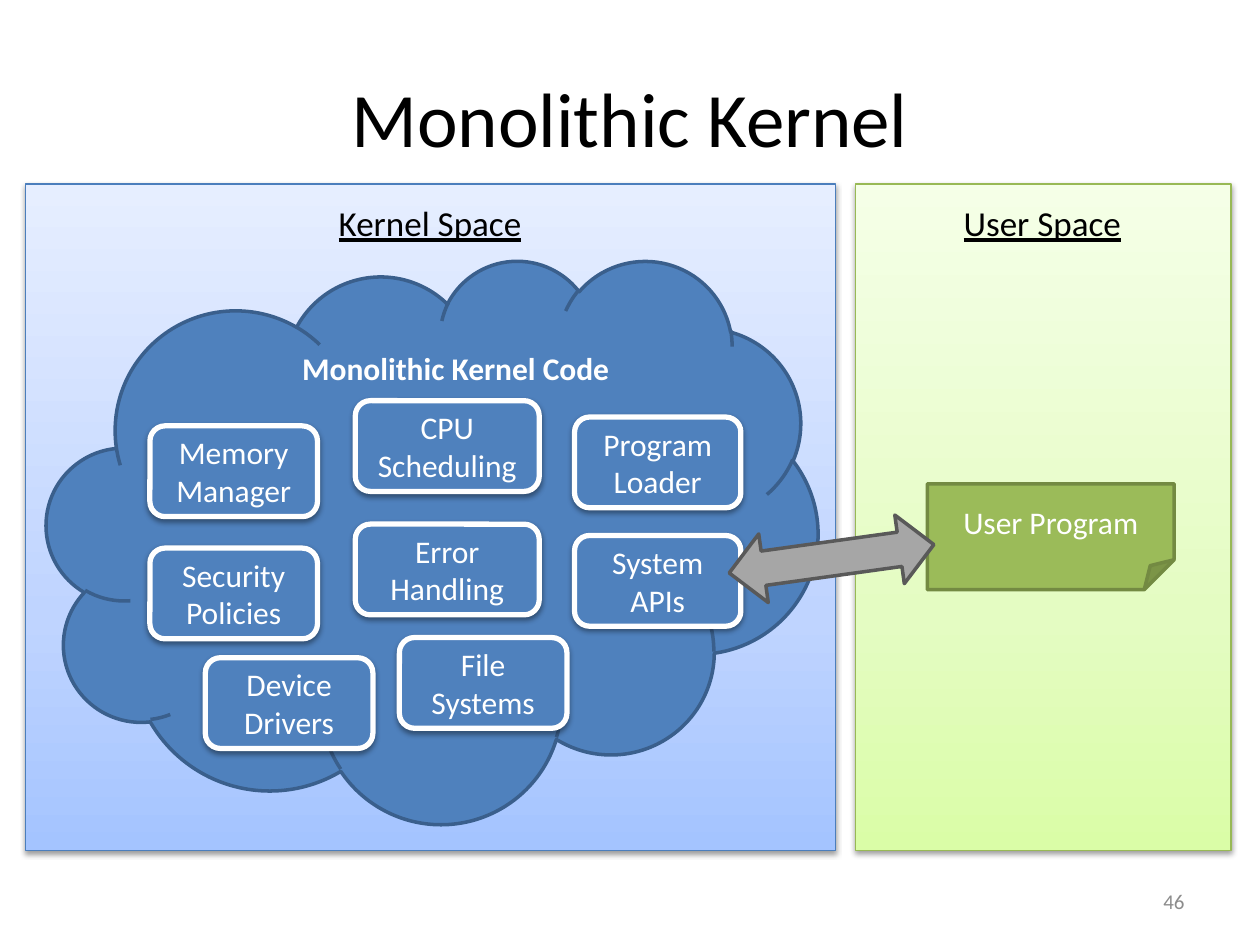
import copy
import pptx
import pptx.util
import pptx.dml.color
import pptx.enum.shapes
import pptx.enum.text
import pptx.oxml
import pptx.oxml.ns
import lxml.etree

KIND = pptx.enum.shapes.MSO_SHAPE
ALIGN = pptx.enum.text.PP_ALIGN
MID = pptx.enum.text.MSO_ANCHOR.MIDDLE
qn = pptx.oxml.ns.qn

# Grid: 100 columns by 75 rows
COLS, ROWS = 100, 75
WIDE, HIGH = pptx.util.Inches(10), pptx.util.Inches(7.5)

BLUE, WHITE, BLACK = "4F81BD", "FFFFFF", "000000"
SHADE = (
    '<a:outerShdw xmlns:a="http://schemas.openxmlformats.org/drawingml/2006/main"'
    ' blurRad="39370" dist="20320" dir="5400000" rotWithShape="0">'
    '<a:srgbClr val="000000"><a:alpha val="38000"/></a:srgbClr></a:outerShdw>'
)

# Modules: name, column, row and width within the cloud
MODS = [
    ("Memory Manager", 8.2, 13.2, 13.3),
    ("CPU Scheduling", 24.5, 11.2, 14.6),
    ("Program Loader", 41.9, 12.5, 13.2),
    ("Security Policies", 8.2, 22.9, 13.3),
    ("Error Handling", 24.5, 21, 14.6),
    ("System APIs", 41.9, 21.9, 13.2),
    ("Device Drivers", 12.6, 31.6, 13.3),
    ("File Systems", 28, 30, 13.3),
]


def color(code):
    return pptx.dml.color.RGBColor.from_string(code)


def spot(box):
    """Turn grid columns and rows into slide lengths."""
    x, y, w, h = box
    return (round(x * WIDE / COLS), round(y * HIGH / ROWS),
            round(w * WIDE / COLS), round(h * HIGH / ROWS))


def inner(box, x, y, w, h):
    """Shift a part from its box's corner to the slide's grid."""
    return box[0] + x, box[1] + y, w, h


def write(shape, text, size, ink, align=ALIGN.CENTER):
    frame = shape.text_frame
    frame.text = text
    para = frame.paragraphs[0]
    para.alignment = align
    font = para.runs[0].font
    font.name, font.size = "Calibri", pptx.util.Pt(size)
    font.color.rgb = color(ink)
    return font


def label(slide, box, text, size, ink, align=ALIGN.LEFT):
    note = slide.shapes.add_textbox(*spot(box))
    note.text_frame.word_wrap = False
    return write(note, text, size, ink, align)


def draw(slide, kind, box, fill, edge, width, shade=False):
    shape = slide.shapes.add_shape(kind, *spot(box))
    if fill:
        shape.fill.solid()
        shape.fill.fore_color.rgb = color(fill)
    shape.line.color.rgb = color(edge)
    shape.line.width = pptx.util.Pt(width)
    shape.shadow.inherit = False
    if shade:
        effect = shape.element.spPr.find(qn("a:effectLst"))
        effect.append(pptx.oxml.parse_xml(SHADE))
    shape.text_frame.vertical_anchor = MID
    return shape


def blend(shape, tones):
    """Fill upward with three tones, at 0, 35 and 100 percent."""
    shape.fill.gradient()
    shape.fill.gradient_angle = 90
    stops = shape.element.spPr.find(".//" + qn("a:gsLst"))
    stops.insert(1, copy.deepcopy(stops[0]))
    for stop, tone, share in zip(shape.fill.gradient_stops, tones, (0, 0.35, 1)):
        stop.color.rgb = color(tone)
        stop.position = share


def panel(slide, box, name, head, tones, edge):
    blend(draw(slide, KIND.RECTANGLE, box, None, edge, 0.75, True), tones)
    label(slide, inner(box, *head), name, 20, BLACK).underline = True


def cloud(slide, box):
    draw(slide, KIND.CLOUD, box, BLUE, "3A5F8C", 2)
    for name, x, y, w in MODS:
        part = draw(slide, KIND.ROUNDED_RECTANGLE, inner(box, x, y, w, 7.2),
                    BLUE, WHITE, 3, True)
        write(part, name, 18, WHITE)
    label(slide, inner(box, 19.3, 6.6, 26.6, 4), "Monolithic Kernel Code",
          18, WHITE).bold = True


def program(slide, box):
    card = draw(slide, KIND.FOLDED_CORNER, box, "9BBB59", "738A42", 2)
    # Size of the folded corner
    guides = card.element.spPr.find(".//" + qn("a:avLst"))
    lxml.etree.SubElement(guides, qn("a:gd"), name="adj", fmla="val 28300")
    write(card, "User Program", 18, WHITE)
    # Call path to the system APIs
    arrow = draw(slide, KIND.LEFT_RIGHT_ARROW, inner(box, -15.8, 3.2, 16.4, 5.5),
                 "A6A6A6", "595959", 2)
    arrow.rotation = 352.1


def title(slide, box, text):
    head = slide.shapes.title
    head.left, head.top, head.width, head.height = spot(box)
    head.text_frame.vertical_anchor = MID
    write(head, text, 44, BLACK)


def main():
    deck = pptx.Presentation()
    deck.slide_width, deck.slide_height = WIDE, HIGH
    slide = deck.slides.add_slide(deck.slide_layouts[5])
    title(slide, (5, 3, 90, 12.5), "Monolithic Kernel")

    # Page number
    label(slide, (71.7, 69.5, 23.3, 4), "46", 12, "8C8C8C", ALIGN.RIGHT)
    page = slide.shapes[-1].text_frame
    page.word_wrap, page.vertical_anchor = True, MID

    # Spaces, then what runs in them
    panel(slide, (67.9, 14.6, 29.8, 52.9), "User Space", (7.6, 0.9, 14.7, 4.4),
          ("DAFDA7", "E4FCC2", "F5FFE7"), "98B955")
    kernel = (2, 14.6, 64.3, 52.9)
    panel(slide, kernel, "Kernel Space", (23.9, 0.9, 16.7, 4.4),
          ("A4C4FF", "BFD4FF", "E6EEFF"), "4B7EBC")
    cloud(slide, inner(kernel, 1.7, 6, 61.2, 44.7))
    program(slide, (73.6, 38.4, 19.6, 8.4))
    deck.save("out.pptx")


if __name__ == "__main__":
    main()
